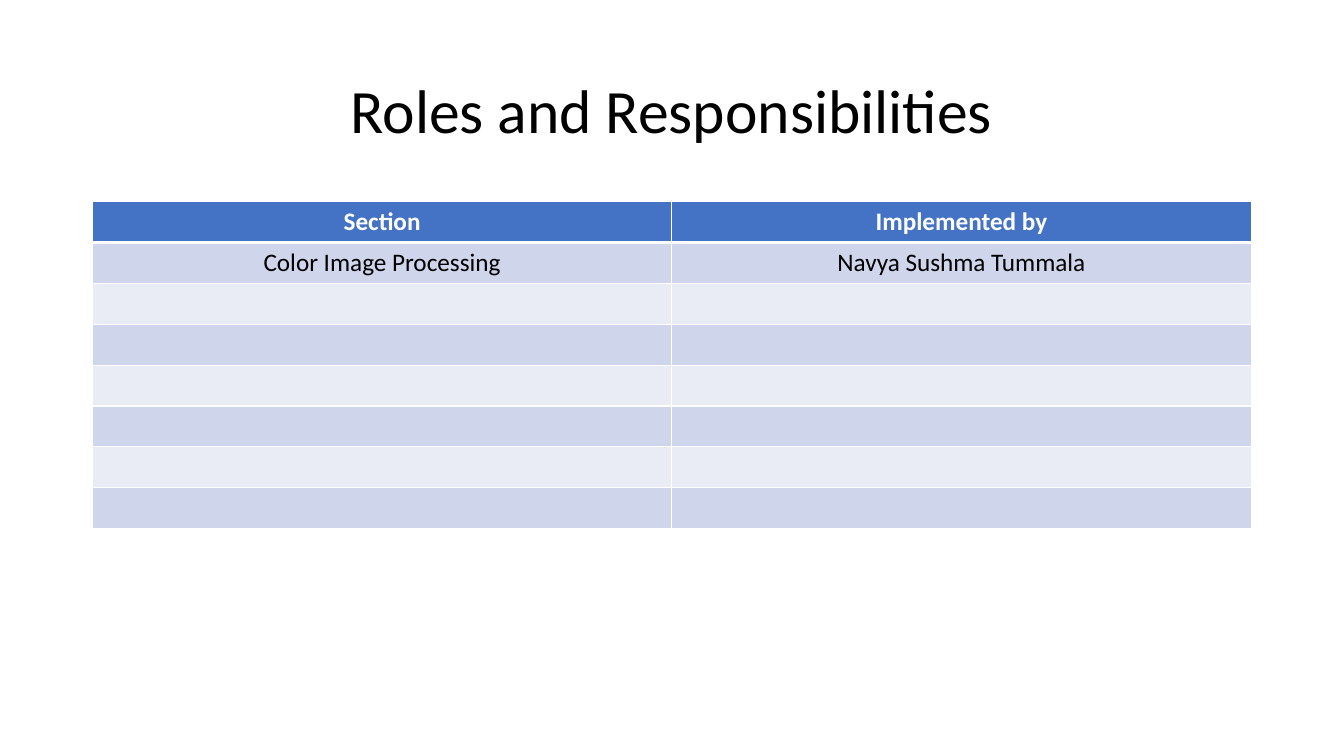
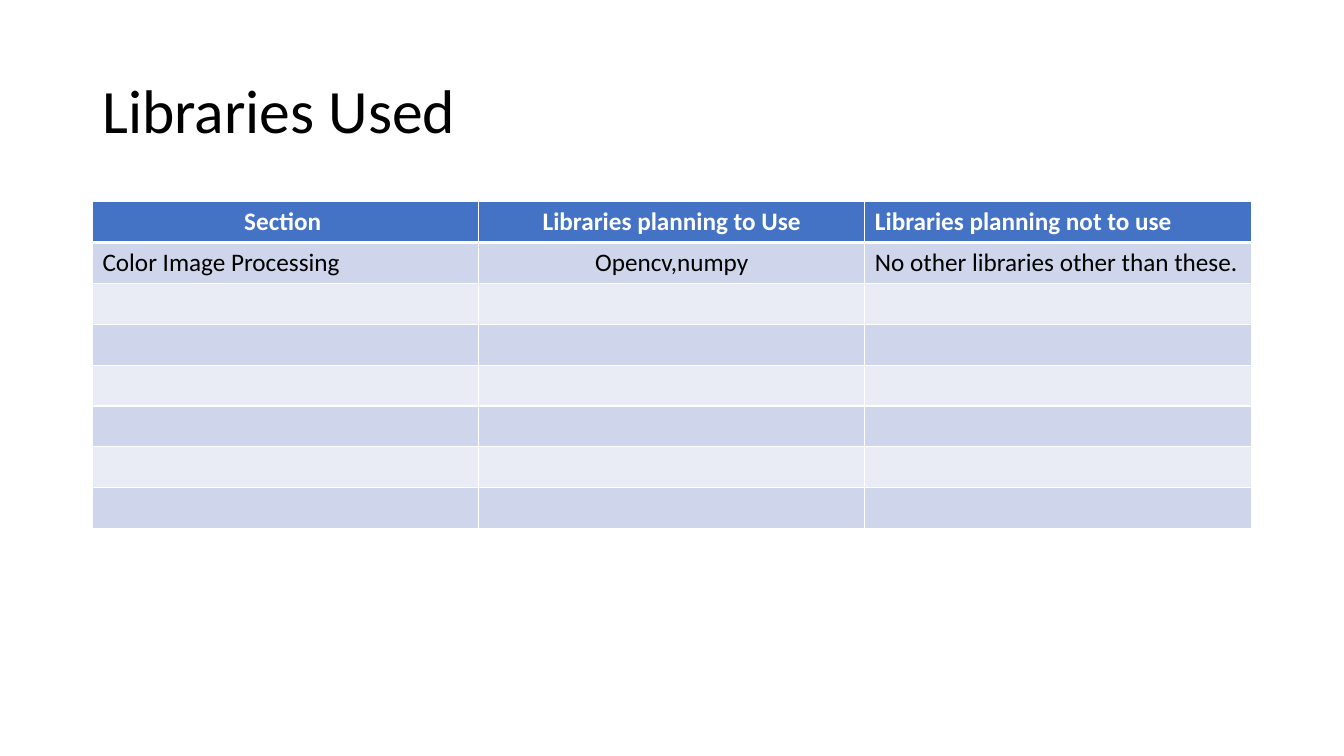
"""Build two slides, each with a title and a banded table."""
from pptx import Presentation as Deck
from pptx.dml.color import RGBColor as Rgb
from pptx.enum.text import MSO_ANCHOR as Anchor, PP_ALIGN as Align
from pptx.oxml import parse_xml
from pptx.oxml.ns import nsdecls
from pptx.util import Cm, Pt

INK = {"head": "4472C4", "odd": "CFD5EA", "even": "E9EBF5",
       "white": "FFFFFF", "black": "000000"}
LEFT, WIDE = 2.33, 29.2
TOP, ROW, ROWS = 5.08, 1.03, 8
THIN, THICK = 1, 3
MID, SIDE = Align.CENTER, Align.LEFT

TITLE = {"name": "Calibri", "size": Pt(44), "bold": False}
HEAD = {"name": "Calibri", "size": Pt(18), "bold": True}
BODY = {**HEAD, "bold": False}

SLIDES = [
    {"title": "Roles and Responsibilities", "align": MID,
     "rows": [[("Section", MID), ("Implemented by", MID)],
              [("Color Image Processing", MID), ("Navya Sushma Tummala", MID)]]},
    {"title": "Libraries Used", "align": SIDE,
     "rows": [[("Section ", MID), ("Libraries planning to Use", MID),
               ("Libraries planning not to use", SIDE)],
              [("Color Image Processing", SIDE), ("Opencv,numpy", MID),
               ("No other libraries other than these.", SIDE)]]},
]


def write(frame, text, align, style, ink):
    para = frame.paragraphs[0]
    para.alignment = align
    run = para.add_run()
    run.text = text
    for key, value in style.items():
        setattr(run.font, key, value)
    run.font.color.rgb = Rgb.from_string(INK[ink])
    return para


def add_title(slide, text, align):
    box = slide.shapes.add_textbox(Cm(LEFT), Cm(1.01), Cm(WIDE), Cm(3.68))
    frame = box.text_frame
    frame.word_wrap = True
    frame.vertical_anchor = Anchor.MIDDLE
    write(frame, text, align, TITLE, "black").line_spacing = 0.9


def edge(cell, row):
    widths = {"lnL": THIN, "lnR": THIN,
              "lnT": THICK if row == 1 else THIN,
              "lnB": THICK if row == 0 else THIN}
    props = cell._tc.get_or_add_tcPr()
    for spot, (tag, width) in enumerate(widths.items()):
        props.insert(spot, parse_xml(
            f'<a:{tag} {nsdecls("a")} w="{Pt(width)}"><a:solidFill>'
            f'<a:srgbClr val="{INK["white"]}"/></a:solidFill></a:{tag}>'))


def add_grid(slide, rows):
    count = len(rows[0])
    grid = slide.shapes.add_table(ROWS, count, Cm(LEFT), Cm(TOP),
                                  Cm(WIDE), Cm(ROW * ROWS)).table
    for col in grid.columns:
        col.width = Cm(WIDE / count)
    for row in range(ROWS):
        grid.rows[row].height = Cm(ROW)
        band = "head" if row == 0 else "odd" if row % 2 else "even"
        for col in range(count):
            cell = grid.cell(row, col)
            cell.fill.solid()
            cell.fill.fore_color.rgb = Rgb.from_string(INK[band])
            edge(cell, row)
            if row < len(rows):
                style, ink = (BODY, "black") if row else (HEAD, "white")
                write(cell.text_frame, *rows[row][col], style, ink)


def main():
    deck = Deck()
    deck.slide_width, deck.slide_height = Cm(33.87), Cm(19.05)
    for item in SLIDES:
        slide = deck.slides.add_slide(deck.slide_layouts[6])
        add_title(slide, item["title"], item["align"])
        add_grid(slide, item["rows"])
    deck.save("out.pptx")


if __name__ == "__main__":
    main()
